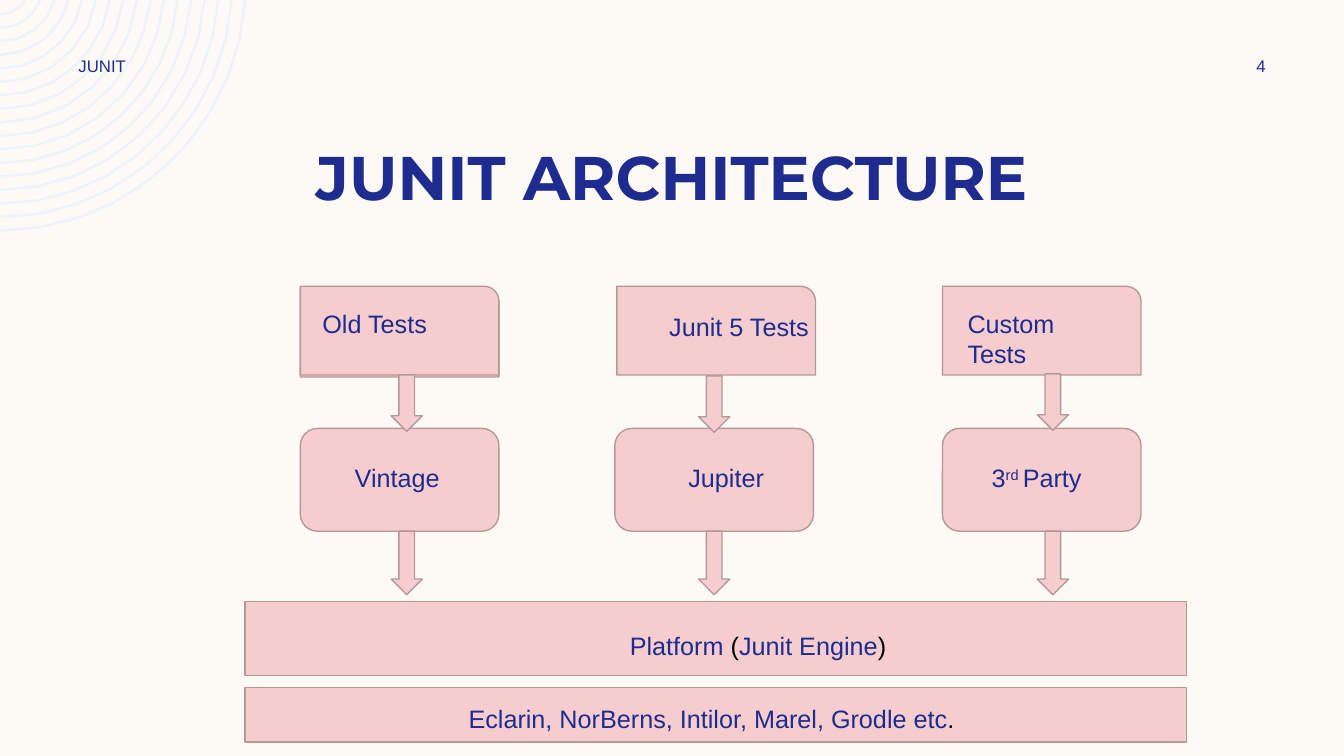
"""Build the JUnit architecture slide."""
from dataclasses import dataclass
from math import asin, cos, pi, sin
from typing import Any

from pptx import Presentation
from pptx.dml.color import RGBColor
from pptx.enum.shapes import MSO_SHAPE
from pptx.enum.text import MSO_ANCHOR, PP_ALIGN
from pptx.util import Inches, Pt

COLORS = {
    "paper": "FDFAF6",
    "ring": "EEF3FA",
    "navy": "1F2C8F",
    "black": "000000",
    "pink": "F5CDCE",
    "edge": "B59898",
}
UNIT = Inches(0.1)
COLUMNS, ROWS = 133.33, 75
RING_COUNT, RING_STEP, RING_WIDTH = 17, 1.34, 0.25
RING_RADIUS, RING_CENTER_ROW = 24.5, -1.5


@dataclass(frozen=True)
class Area:
    column: float
    row: float
    columns: float
    rows: float

    def lengths(self) -> tuple[int, ...]:
        return tuple(round(part * UNIT) for part in (self.column, self.row, self.columns, self.rows))


@dataclass(frozen=True)
class Block:
    kind: MSO_SHAPE
    area: Area


@dataclass(frozen=True)
class Span:
    text: str
    color: str = "navy"
    baseline: int = 0


@dataclass(frozen=True)
class Label:
    area: Area
    spans: tuple[Span, ...]
    size: int = 18
    align: PP_ALIGN = PP_ALIGN.LEFT
    anchor: MSO_ANCHOR = MSO_ANCHOR.TOP


@dataclass(frozen=True)
class Lane:
    test_column: float
    module_column: float
    arrow_column: float
    upper_arrow_row: float


LANES = (
    Lane(29.8, 29.8, 38.8, 37.2),
    Lane(61.2, 61, 69.3, 37.3),
    Lane(93.5, 93.5, 102.9, 37.1),
)
TEST_SHADE = Block(MSO_SHAPE.ROUND_1_RECTANGLE, Area(29.8, 28.6, 19.7, 8.8))
PLATFORM = Block(MSO_SHAPE.RECTANGLE, Area(24.3, 59.7, 93.4, 7.3))
TOOLS = Block(MSO_SHAPE.RECTANGLE, Area(24.3, 68.2, 93.4, 5.4))

MODULES = [Block(MSO_SHAPE.ROUNDED_RECTANGLE, Area(lane.module_column, 42.5, 19.7, 10.2)) for lane in LANES]
LOWER_ARROWS = [Block(MSO_SHAPE.DOWN_ARROW, Area(lane.arrow_column, 52.7, 3.1, 6.3)) for lane in LANES]
TESTS = [Block(MSO_SHAPE.ROUND_1_RECTANGLE, Area(lane.test_column, 28.4, 19.7, 8.8)) for lane in LANES]
UPPER_ARROWS = [
    Block(MSO_SHAPE.DOWN_ARROW, Area(lane.arrow_column, lane.upper_arrow_row, 3.1, 5.6)) for lane in LANES
]
BLOCKS = [PLATFORM, *MODULES, *LOWER_ARROWS, TEST_SHADE, *TESTS, *UPPER_ARROWS, TOOLS]

TITLE = Label(Area(8.3, 13.3, 116.7, 8.4), (Span("JUNIT ARCHITECTURE"),), 44, PP_ALIGN.CENTER)
LABELS = (
    Label(Area(6.8, 5, 35, 3), (Span("JUNIT"),), 12, anchor=MSO_ANCHOR.MIDDLE),
    Label(Area(119.7, 5, 10.8, 3), (Span("4"),), 12, PP_ALIGN.CENTER, MSO_ANCHOR.MIDDLE),
    Label(Area(31, 30.1, 16.9, 4), (Span("Old Tests"),)),
    Label(Area(65.4, 30.4, 16.9, 4), (Span("Junit 5 Tests"),)),
    Label(Area(95, 30.1, 15, 7.1), (Span("Custom Tests"),)),
    Label(Area(34.2, 45.4, 12.2, 4), (Span("Vintage"),)),
    Label(Area(67.3, 45.4, 12.2, 4), (Span("Jupiter"),)),
    Label(Area(97.4, 45.4, 15.7, 4), (Span("3"), Span("rd ", baseline=30000), Span("Party"))),
    Label(
        Area(61.5, 62, 33.2, 4),
        (Span("Platform"), Span(" (", "black"), Span("Junit Engine"), Span(")", "black")),
    ),
    Label(
        Area(45.5, 69.3, 60, 4),
        (Span("Eclarin, NorBerns, Intilor, Marel, Grodle etc"), Span(".", "black")),
    ),
)


def color(name: str) -> RGBColor:
    return RGBColor.from_string(COLORS[name])


def apply(target: Any, values: dict[str, Any]) -> None:
    for name, value in values.items():
        setattr(target, name, value)


def paint(target: Any, name: str) -> None:
    target.fill.solid()
    target.fill.fore_color.rgb = color(name)


def write(box: Any, label: Label, font_name: str = "Arial", bold: bool = False) -> None:
    frame = box.text_frame
    apply(frame, {"word_wrap": True, "vertical_anchor": label.anchor})
    para = frame.paragraphs[0]
    para.alignment = label.align
    for span in label.spans:
        run = para.add_run()
        run.text = span.text
        apply(run.font, {"name": font_name, "size": Pt(label.size), "bold": bold})
        run.font.color.rgb = color(span.color)
        if span.baseline:
            run.font._element.set("baseline", str(span.baseline))


def add_label(page: Any, label: Label) -> None:
    write(page.shapes.add_textbox(*label.area.lengths()), label)


def add_block(page: Any, block: Block) -> None:
    shape = page.shapes.add_shape(block.kind, *block.area.lengths())
    shape.shadow.inherit = False
    paint(shape, "pink")
    shape.line.color.rgb = color("edge")
    shape.line.width = Pt(1)


def arc(radius: float) -> list[tuple[int, int]]:
    steps = 3 + int(radius / 3.5)
    start = asin(-RING_CENTER_ROW / radius)
    angles = [start + (pi / 2 - start) * step / steps for step in range(steps + 1)]
    return [
        (round(radius * cos(angle) * UNIT), round((RING_CENTER_ROW + radius * sin(angle)) * UNIT))
        for angle in angles
    ]


def add_rings(page: Any) -> Any:
    radii = [RING_RADIUS - RING_STEP * ring for ring in range(RING_COUNT)]
    outlines = [arc(radius) + arc(radius - RING_WIDTH)[::-1] for radius in radii]
    builder = page.shapes.build_freeform(*outlines[0][0])
    for outline in outlines:
        if outline is not outlines[0]:
            builder.move_to(*outline[0])
        builder.add_line_segments(outline[1:], close=True)
    rings = builder.convert_to_shape()
    rings.shadow.inherit = False
    paint(rings, "ring")
    rings.line.fill.background()
    return rings


def add_title(page: Any) -> Any:
    title = page.shapes.title
    apply(title, dict(zip(("left", "top", "width", "height"), TITLE.area.lengths())))
    write(title, TITLE, "Montserrat", True)
    return title


def main() -> None:
    deck = Presentation()
    apply(deck, {"slide_width": round(COLUMNS * UNIT), "slide_height": ROWS * UNIT})
    page = deck.slides.add_slide(deck.slide_layouts.get_by_name("Title Only"))
    paint(page.background, "paper")
    title = add_title(page)
    title._element.addprevious(add_rings(page)._element)
    for block in BLOCKS:
        add_block(page, block)
    for label in LABELS:
        add_label(page, label)
    deck.save("out.pptx")


if __name__ == "__main__":
    main()
